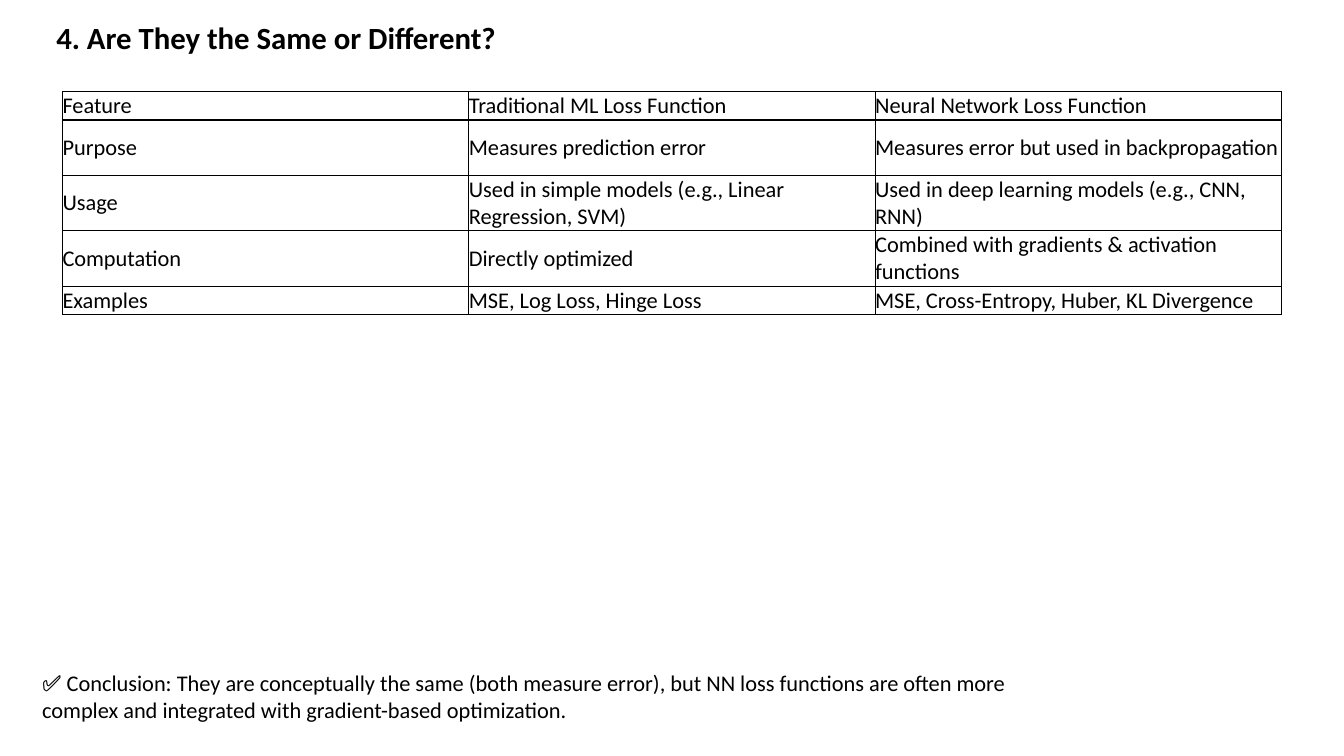
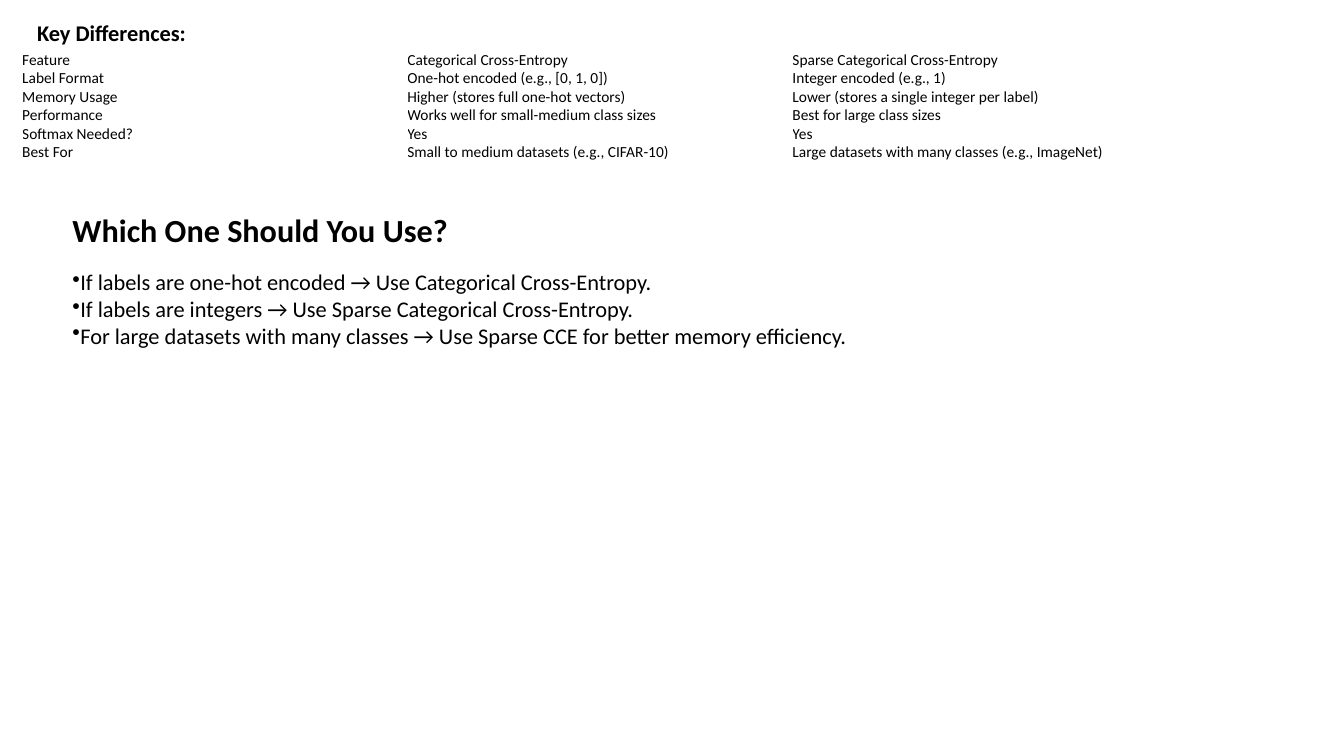
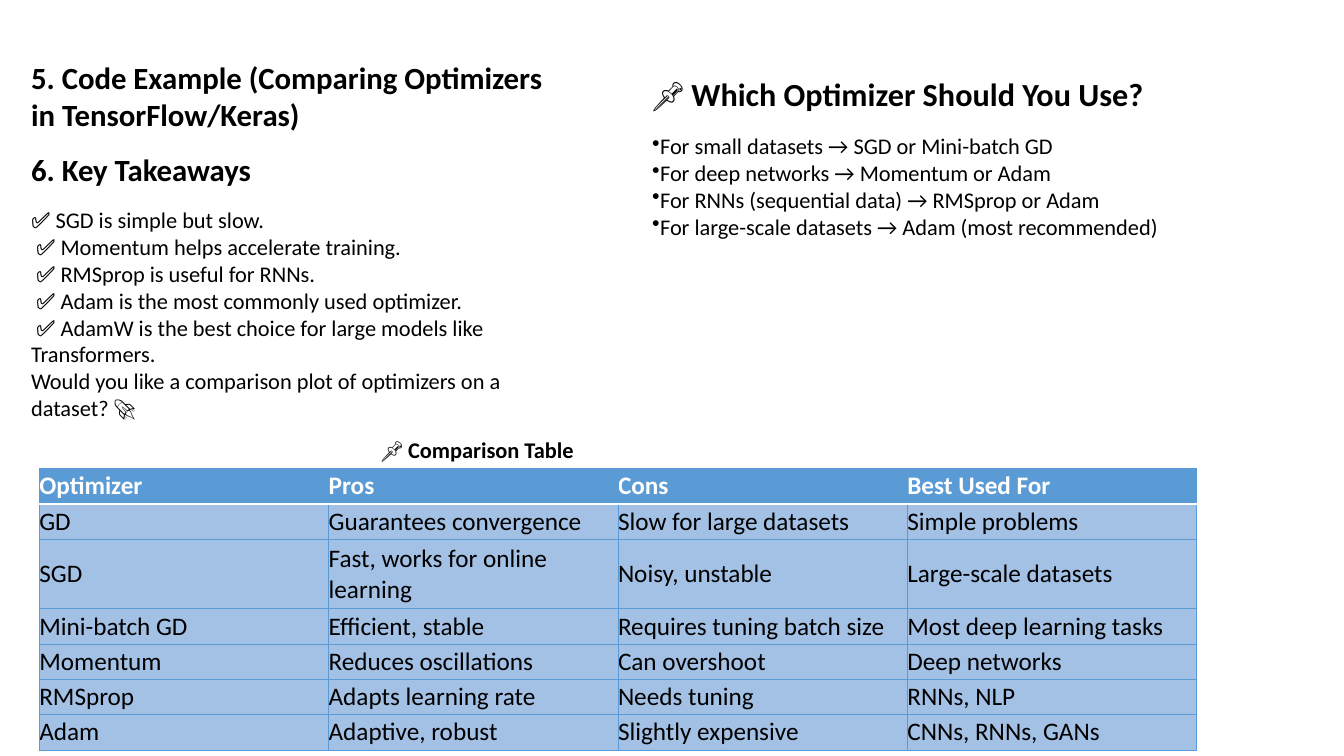
from pptx import Presentation
from pptx.dml.color import RGBColor
from pptx.enum.text import MSO_ANCHOR
from pptx.oxml.ns import qn
from pptx.util import Inches, Pt
from lxml import etree

MIDDLE = MSO_ANCHOR.MIDDLE
BLACK = RGBColor(0x00, 0x00, 0x00)
WHITE = RGBColor(0xFF, 0xFF, 0xFF)
BLUE = RGBColor(0x5B, 0x9B, 0xD5)
PALE_BLUE = RGBColor(0xA3, 0xC0, 0xE5)
FONT = "Calibri"
BODY_SIZE = 16
HEADING_GAP = 0.6  # share of the heading size left below it

# Paragraph styles: size, bold, bullet, first-line indent in inches
STYLES = {
    "question": (23, True, False, 0),
    "heading": (22, True, False, 0),
    "caption": (BODY_SIZE, True, False, 0),
    "body": (BODY_SIZE, False, False, 0),
    "check": (BODY_SIZE, False, False, 0.05),
    "bullet": (BODY_SIZE, False, True, 0),
}

# Table looks: text size, border (colour, points), header fill, body fill
GRID = {"size": 16, "border": (BLACK, 1), "header": None, "body": None}
PLAIN = {"size": 11, "border": None, "header": None, "body": None}
BLUE_GRID = {"size": 18, "border": (BLUE, 0.5), "header": BLUE, "body": PALE_BLUE}

SLIDES = [
    {
        "texts": [
            ((0.46, 0.14, 12.15, 0.47), [("heading", "4. Are They the Same or Different?")]),
            ((0.32, 6.59, 10.56, 0.78), [
                ("body", "✅ Conclusion: They are conceptually the same (both measure error), but NN loss "
                         "functions are often more complex and integrated with gradient-based optimization."),
            ]),
        ],
        "table": {
            "at": (0.62, 0.91), "column": 4.03, "look": GRID,
            "heights": [0.28, 0.55, 0.55, 0.55, 0.28],
            "rows": [
                ("Feature", "Traditional ML Loss Function", "Neural Network Loss Function"),
                ("Purpose", "Measures prediction error", "Measures error but used in backpropagation"),
                ("Usage", "Used in simple models (e.g., Linear Regression, SVM)",
                 "Used in deep learning models (e.g., CNN, RNN)"),
                ("Computation", "Directly optimized", "Combined with gradients & activation functions"),
                ("Examples", "MSE, Log Loss, Hinge Loss", "MSE, Cross-Entropy, Huber, KL Divergence"),
            ],
        },
    },
    {
        "texts": [
            ((0.27, 0.14, 5.56, 0.37), [("caption", "Key Differences:")]),
            ((0.62, 2.04, 9.48, 1.58), [
                ("question", "Which One Should You Use?"),
                ("bullet", "If labels are one-hot encoded → Use Categorical Cross-Entropy."),
                ("bullet", "If labels are integers → Use Sparse Categorical Cross-Entropy."),
                ("bullet", "For large datasets with many classes → Use Sparse CCE for better memory efficiency."),
            ]),
        ],
        "table": {
            "at": (0.22, 0.5), "column": 3.82, "look": PLAIN,
            "heights": [0.18] * 6,
            "rows": [
                ("Feature", "Categorical Cross-Entropy", "Sparse Categorical Cross-Entropy"),
                ("Label Format", "One-hot encoded (e.g., [0, 1, 0])", "Integer encoded (e.g., 1)"),
                ("Memory Usage", "Higher (stores full one-hot vectors)",
                 "Lower (stores a single integer per label)"),
                ("Performance", "Works well for small-medium class sizes", "Best for large class sizes"),
                ("Softmax Needed?", "Yes", "Yes"),
                ("Best For", "Small to medium datasets (e.g., CIFAR-10)",
                 "Large datasets with many classes (e.g., ImageNet)"),
            ],
        },
    },
    {
        "texts": [
            ((0.21, 0.53, 5.56, 3.9), [
                ("heading", "5. Code Example (Comparing Optimizers in TensorFlow/Keras)"),
                ("heading", "6. Key Takeaways"),
                ("body", "✅ SGD is simple but slow."),
                ("check", "✅ Momentum helps accelerate training."),
                ("check", "✅ RMSprop is useful for RNNs."),
                ("check", "✅ Adam is the most commonly used optimizer."),
                ("check", "✅ AdamW is the best choice for large models like Transformers."),
                ("body", "Would you like a comparison plot of optimizers on a dataset? 🚀"),
            ]),
            ((3.68, 4.28, 5.56, 0.37), [("caption", "📌 Comparison Table")]),
            ((6.37, 0.69, 5.56, 1.85), [
                ("question", "📌 Which Optimizer Should You Use?"),
                ("bullet", "For small datasets → SGD or Mini-batch GD"),
                ("bullet", "For deep networks → Momentum or Adam"),
                ("bullet", "For RNNs (sequential data) → RMSprop or Adam"),
                ("bullet", "For large-scale datasets → Adam (most recommended)"),
            ]),
        ],
        "table": {
            "at": (0.39, 4.65), "column": 2.87, "look": BLUE_GRID,
            "heights": [0.35, 0.35, 0.69, 0.35, 0.35, 0.35, 0.35],
            "rows": [
                ("Optimizer", "Pros", "Cons", "Best Used For"),
                ("GD", "Guarantees convergence", "Slow for large datasets", "Simple problems"),
                ("SGD", "Fast, works for online learning", "Noisy, unstable", "Large-scale datasets"),
                ("Mini-batch GD", "Efficient, stable", "Requires tuning batch size",
                 "Most deep learning tasks"),
                ("Momentum", "Reduces oscillations", "Can overshoot", "Deep networks"),
                ("RMSprop", "Adapts learning rate", "Needs tuning", "RNNs, NLP"),
                ("Adam", "Adaptive, robust", "Slightly expensive", "CNNs, RNNs, GANs"),
            ],
        },
    },
]


def set_font(paragraph, size, bold=False, color=BLACK):
    font = paragraph.font
    font.name, font.size, font.bold = FONT, Pt(size), bold
    font.color.rgb = color


def add_text(slide, place, lines):
    box = slide.shapes.add_textbox(*map(Inches, place))
    frame = box.text_frame
    frame.word_wrap = True
    for index, (style, text) in enumerate(lines):
        size, bold, bullet, indent = STYLES[style]
        para = frame.paragraphs[0] if index == 0 else frame.add_paragraph()
        para.text = text
        if indent:
            para._p.get_or_add_pPr().set("indent", str(Inches(indent)))
        if bullet:
            etree.SubElement(para._p.get_or_add_pPr(), qn("a:buChar")).set("char", "•")
        if bold and len(lines) > 1:
            para.space_after = Pt(HEADING_GAP * size)
        set_font(para, size, bold)


def add_border(cell, side, color, width):
    line = etree.SubElement(cell._tc.get_or_add_tcPr(), qn(f"a:ln{side}"), w=str(Pt(width)))
    fill = etree.SubElement(line, qn("a:solidFill"))
    etree.SubElement(fill, qn("a:srgbClr"), val=str(color))


def style_cell(cell, text, look, row):
    colored_header = row == 0 and look["header"] is not None
    cell.text = text
    cell.margin_left = cell.margin_right = cell.margin_top = cell.margin_bottom = 0
    cell.vertical_anchor = MIDDLE
    set_font(cell.text_frame.paragraphs[0], look["size"], colored_header,
             WHITE if colored_header else BLACK)
    if look["border"]:
        below_header = {0: "B", 1: "T"}.get(row) if look["header"] is not None else None
        for side in "LRTB":
            add_border(cell, side, *((WHITE, 1) if side == below_header else look["border"]))
    fill = look["header"] if row == 0 else look["body"]
    if fill is None:
        cell.fill.background()
    else:
        cell.fill.solid()
        cell.fill.fore_color.rgb = fill


def add_grid(slide, at, column, look, heights, rows):
    count = len(rows[0])
    size = (column * count, sum(heights))
    table = slide.shapes.add_table(len(rows), count, *map(Inches, at + size)).table
    table.first_row = table.horz_banding = False
    for table_column in table.columns:
        table_column.width = Inches(column)
    for row, (height, texts) in enumerate(zip(heights, rows)):
        table.rows[row].height = Inches(height)
        for index, text in enumerate(texts):
            style_cell(table.cell(row, index), text, look, row)


def main():
    deck = Presentation()
    deck.slide_width, deck.slide_height = Inches(13.33), Inches(7.5)
    for content in SLIDES:
        slide = deck.slides.add_slide(deck.slide_layouts[6])
        add_grid(slide, **content["table"])
        for place, lines in content["texts"]:
            add_text(slide, place, lines)
    deck.save("out.pptx")


if __name__ == "__main__":
    main()
